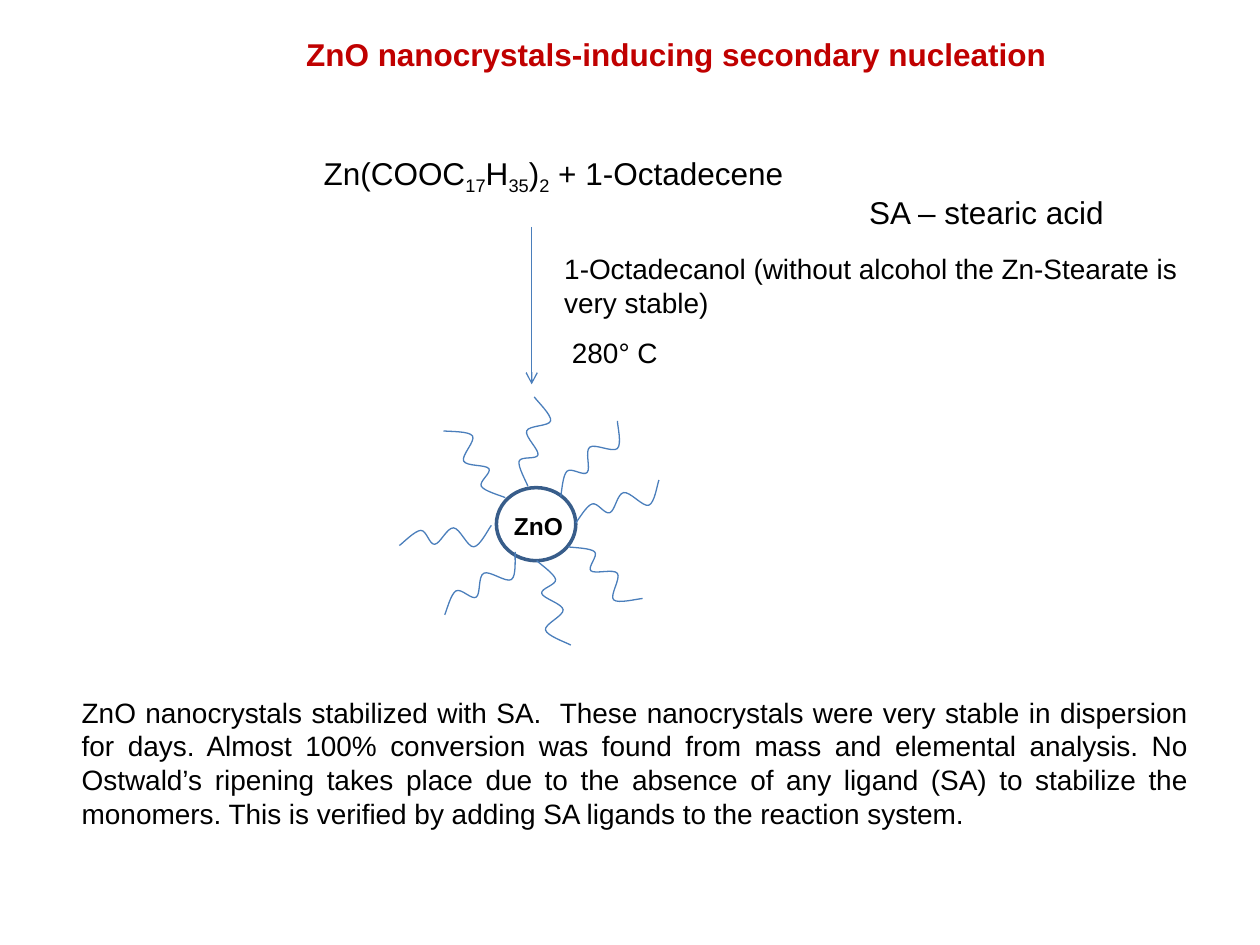
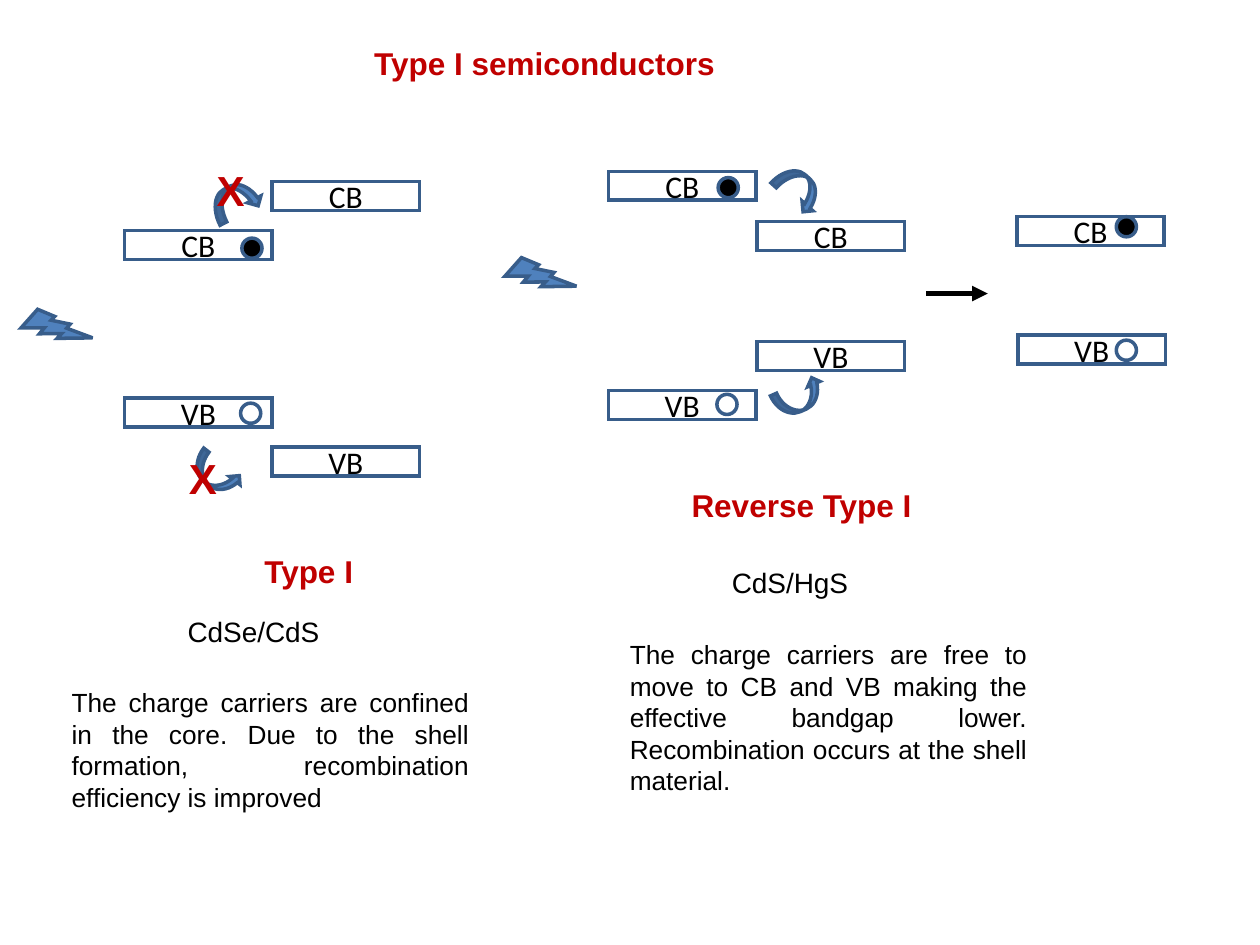
from lxml.etree import SubElement
from pptx import Presentation
from pptx.dml.color import RGBColor
from pptx.enum.shapes import MSO_CONNECTOR, MSO_SHAPE
from pptx.enum.text import MSO_ANCHOR, MSO_AUTO_SIZE, PP_ALIGN
from pptx.oxml.ns import qn
from pptx.util import Inches, Pt

RED = RGBColor(0xC0, 0x00, 0x00)
BLACK = RGBColor(0x00, 0x00, 0x00)
BLUE = RGBColor(0x4F, 0x81, 0xBD)
DARK_BLUE = RGBColor(0x38, 0x5D, 0x8A)
LINE_BLUE = RGBColor(0x4A, 0x7E, 0xBB)

# Slide 1: boxes are (left, top, width, height) in inches
NUCLEATION_TITLE = ("ZnO nanocrystals-inducing secondary nucleation", (2.33, 0.23, 6.1, 0.4))
REACTANTS = [("Zn(COOC", False), ("17", True), ("H", False), ("35", True),
             (")", False), ("2", True), (" + 1-Octadecene", False)]
CONDITIONS = ["1-Octadecanol (without alcohol the Zn-Stearate is very stable)", " 280° C"]
DISPERSION = (
    "ZnO nanocrystals stabilized with SA.  These nanocrystals were very stable in dispersion "
    "for days. Almost 100% conversion was found from mass and elemental analysis. No Ostwald’s "
    "ripening takes place due to the absence of any ligand (SA) to stabilize the monomers. "
    "This is verified by adding SA ligands to the reaction system.")
LIGANDS = [
    [(4.01, 3.95), (3.82, 3.86), (3.88, 3.72), (3.68, 3.66), (3.75, 3.46), (3.52, 3.42)],
    [(4.57, 4.15), (4.7, 4.0), (4.84, 4.07), (4.95, 3.91), (5.15, 4.01), (5.23, 3.81)],
    [(3.53, 4.88), (3.62, 4.69), (3.78, 4.74), (3.84, 4.55), (4.06, 4.6), (4.09, 4.38)],
    [(4.51, 4.34), (4.72, 4.38), (4.69, 4.53), (4.9, 4.55), (4.87, 4.76), (5.1, 4.75)],
    [(4.19, 3.86), (4.12, 3.66), (4.27, 3.61), (4.18, 3.42), (4.37, 3.34), (4.24, 3.15)],
    [(4.26, 4.45), (4.41, 4.6), (4.3, 4.71), (4.47, 4.84), (4.33, 5.0), (4.53, 5.12)],
    [(4.45, 3.94), (4.5, 3.74), (4.66, 3.75), (4.68, 3.55), (4.9, 3.56), (4.9, 3.34)],
    [(3.17, 4.33), (3.34, 4.21), (3.45, 4.32), (3.6, 4.19), (3.76, 4.34), (3.9, 4.17)],
]

# Slide 2
SEMICONDUCTOR_TITLE = ("Type I semiconductors", (2.87, 0.3, 2.92, 0.4))
BAND_SIZE = (1.17, 0.23)
CARRIER_SIZE = (0.16, 0.16)
BOLT_SIZE = (0.47, 0.4)
CONDUCTION_BANDS = [(0.99, 1.83), (2.16, 1.44), (4.83, 1.36), (6.01, 1.76), (8.07, 1.72)]
VALENCE_BANDS = [(0.99, 3.16), (2.16, 3.55), (4.83, 3.1), (6.01, 2.71), (8.08, 2.66)]
ELECTRONS = [(1.92, 1.89), (5.7, 1.41), (8.86, 1.72)]
HOLES = [(1.91, 3.2), (5.69, 3.13), (8.86, 2.7)]
BOLTS = [(0.2, 2.41), (4.04, 2.0)]
TRANSFERS = [
    (MSO_SHAPE.CURVED_LEFT_ARROW, (6.23, 1.3, 0.23, 0.4), 311.9),
    (MSO_SHAPE.CURVED_RIGHT_ARROW, (6.24, 2.95, 0.21, 0.41), 246.2),
    (MSO_SHAPE.CURVED_LEFT_ARROW, (1.75, 1.39, 0.24, 0.4), 242.9),
    (MSO_SHAPE.CURVED_RIGHT_ARROW, (1.61, 3.56, 0.21, 0.41), 307.8),
]
CROSSES = [(1.62, 1.26, 0.42, 0.5), (1.4, 3.54, 0.42, 0.5)]
TYPES = [
    ("Type I", (2.0, 4.33, 0.92, 0.4)),
    ("Reverse Type I", (5.39, 3.81, 1.96, 0.4)),
]
MATERIALS = [
    ("CdSe/CdS", (1.39, 4.83, 1.26, 0.37)),
    ("CdS/HgS", (5.71, 4.44, 1.14, 0.37)),
]
EXPLANATIONS = [
    ("The charge carriers are confined in the core. Due to the shell formation, "
     "recombination efficiency is improved", (0.47, 5.4, 3.35, 1.1)),
    ("The charge carriers are free to move to CB and VB making the effective bandgap lower. "
     "Recombination occurs at the shell material.", (4.9, 5.02, 3.35, 1.35)),
]


def inches(values):
    return [Inches(value) for value in values]


def style_text(shape, size, color=BLACK, bold=False, name="Arial", align=PP_ALIGN.LEFT):
    for paragraph in shape.text_frame.paragraphs:
        paragraph.alignment = align
        for span in paragraph.runs:
            span.font.name = name
            span.font.size = Pt(size)
            span.font.bold = bold
            span.font.color.rgb = color


def fit_frame(frame, wrap=False):
    frame.word_wrap = wrap
    frame.auto_size = MSO_AUTO_SIZE.SHAPE_TO_FIT_TEXT


def add_text(page, text, place, size, wrap=False, **style):
    box = page.shapes.add_textbox(*inches(place))
    fit_frame(box.text_frame, wrap)
    box.text_frame.text = text
    style_text(box, size, **style)
    return box


def add_titled_page(deck, title, place):
    page = deck.slides.add_slide(deck.slide_layouts[5])
    box = page.shapes.title
    box.left, box.top, box.width, box.height = inches(place)
    box.text_frame.text = title
    box.text_frame.vertical_anchor = MSO_ANCHOR.TOP
    fit_frame(box.text_frame)
    style_text(box, 18, RED, bold=True)
    return page


def style_outline(shape, fill=None, line=DARK_BLUE, width=2):
    shape.shadow.inherit = False
    if fill is None:
        shape.fill.background()
    else:
        shape.fill.solid()
        shape.fill.fore_color.rgb = fill
    shape.line.color.rgb = line
    shape.line.width = Pt(width)
    SubElement(shape.line._get_or_add_ln(), qn("a:miter"), lim="800000")


def add_outlined(page, kind, place, fill=None, rotation=0):
    shape = page.shapes.add_shape(kind, *inches(place))
    shape.rotation = rotation
    style_outline(shape, fill)
    return shape


def add_arrow(page, start, end, color, width, head):
    arrow = page.shapes.add_connector(MSO_CONNECTOR.STRAIGHT, *inches(start + end))
    arrow.line.color.rgb = color
    arrow.line.width = Pt(width)
    SubElement(arrow.line._get_or_add_ln(), qn("a:tailEnd"), type=head)
    SubElement(arrow._element.spPr, qn("a:effectLst"))


def bend_segments(shape):
    """Turn the straight segments of a freeform into one smooth curve."""
    outline = shape._element.spPr.find(".//" + qn("a:path"))
    knots = [(int(point.get("x")), int(point.get("y"))) for point in outline.iter(qn("a:pt"))]
    for segment in outline.findall(qn("a:lnTo")):
        outline.remove(segment)
    padded = [knots[0], *knots, knots[-1]]
    for before, start, end, after in zip(padded, padded[1:], padded[2:], padded[3:]):
        leaving = [s + (e - b) / 6 for b, s, e in zip(before, start, end)]
        arriving = [e - (a - s) / 6 for s, e, a in zip(start, end, after)]
        curve = SubElement(outline, qn("a:cubicBezTo"))
        for x, y in (leaving, arriving, end):
            SubElement(curve, qn("a:pt"), x=str(round(x)), y=str(round(y)))


def add_ligand(page, knots):
    points = [tuple(inches(knot)) for knot in knots]
    builder = page.shapes.build_freeform(*points[0])
    builder.add_line_segments(points[1:], close=False)
    ligand = builder.convert_to_shape()
    bend_segments(ligand)
    style_outline(ligand, line=LINE_BLUE, width=0.75)


def add_reactants(page):
    box = page.shapes.add_textbox(*inches((2.47, 1.17, 3.85, 0.44)))
    fit_frame(box.text_frame)
    paragraph = box.text_frame.paragraphs[0]
    for text, subscript in REACTANTS:
        span = paragraph.add_run()
        span.text = text
        if subscript:
            span._r.get_or_add_rPr().set("baseline", "-25000")
    style_text(box, 18)


def build_nucleation(deck):
    page = add_titled_page(deck, *NUCLEATION_TITLE)
    add_reactants(page)
    add_arrow(page, (4.22, 1.8), (4.22, 3.05), LINE_BLUE, 0.75, "arrow")
    conditions = add_text(page, "\n".join(CONDITIONS), (4.38, 1.95, 5.16, 1.04), 16, wrap=True)
    conditions.text_frame.paragraphs[1].line_spacing = 1.5
    add_outlined(page, MSO_SHAPE.OVAL, (3.94, 3.87, 0.63, 0.58))
    for knots in LIGANDS:
        add_ligand(page, knots)
    add_text(page, "ZnO", (3.98, 4.01, 0.59, 0.34), 14, bold=True)
    add_text(page, DISPERSION, (0.55, 5.47, 8.98, 1.17), 16, wrap=True, align=PP_ALIGN.JUSTIFY)
    add_text(page, "SA – stearic acid", (6.8, 1.48, 2.07, 0.4), 18)


def build_semiconductors(deck):
    page = add_titled_page(deck, *SEMICONDUCTOR_TITLE)
    for label, spots in (("CB", CONDUCTION_BANDS), ("VB", VALENCE_BANDS)):
        for spot in spots:
            band = add_outlined(page, MSO_SHAPE.RECTANGLE, (*spot, *BAND_SIZE))
            band.text_frame.text = label
            style_text(band, 18, name="Calibri", align=PP_ALIGN.CENTER)
    for spots, fill in ((ELECTRONS, BLACK), (HOLES, None)):
        for spot in spots:
            add_outlined(page, MSO_SHAPE.OVAL, (*spot, *CARRIER_SIZE), fill)
    for spot in BOLTS:
        add_outlined(page, MSO_SHAPE.LIGHTNING_BOLT, (*spot, *BOLT_SIZE), BLUE, 333)
    add_arrow(page, (7.35, 2.33), (7.84, 2.33), BLACK, 3, "triangle")
    for kind, place, rotation in TRANSFERS:
        add_outlined(page, kind, place, BLUE, rotation)
    for place in CROSSES:
        add_text(page, "X", place, 24, color=RED, bold=True)
    for text, place in TYPES:
        add_text(page, text, place, 18, color=RED, bold=True)
    for text, place in MATERIALS:
        add_text(page, text, place, 16)
    for text, place in EXPLANATIONS:
        add_text(page, text, place, 15, wrap=True, align=PP_ALIGN.JUSTIFY)


def main():
    deck = Presentation()
    deck.slide_width, deck.slide_height = Inches(10), Inches(7.5)
    build_nucleation(deck)
    build_semiconductors(deck)
    deck.save("out.pptx")


if __name__ == "__main__":
    main()
